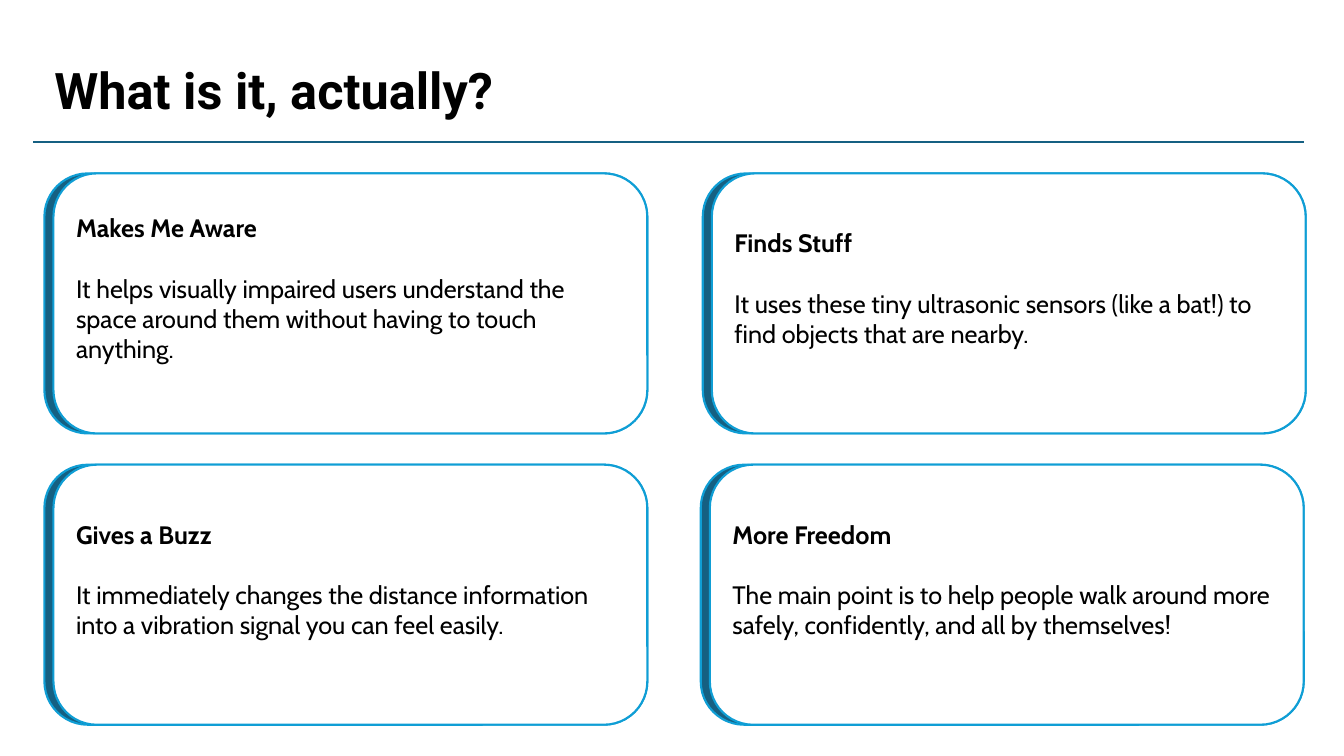
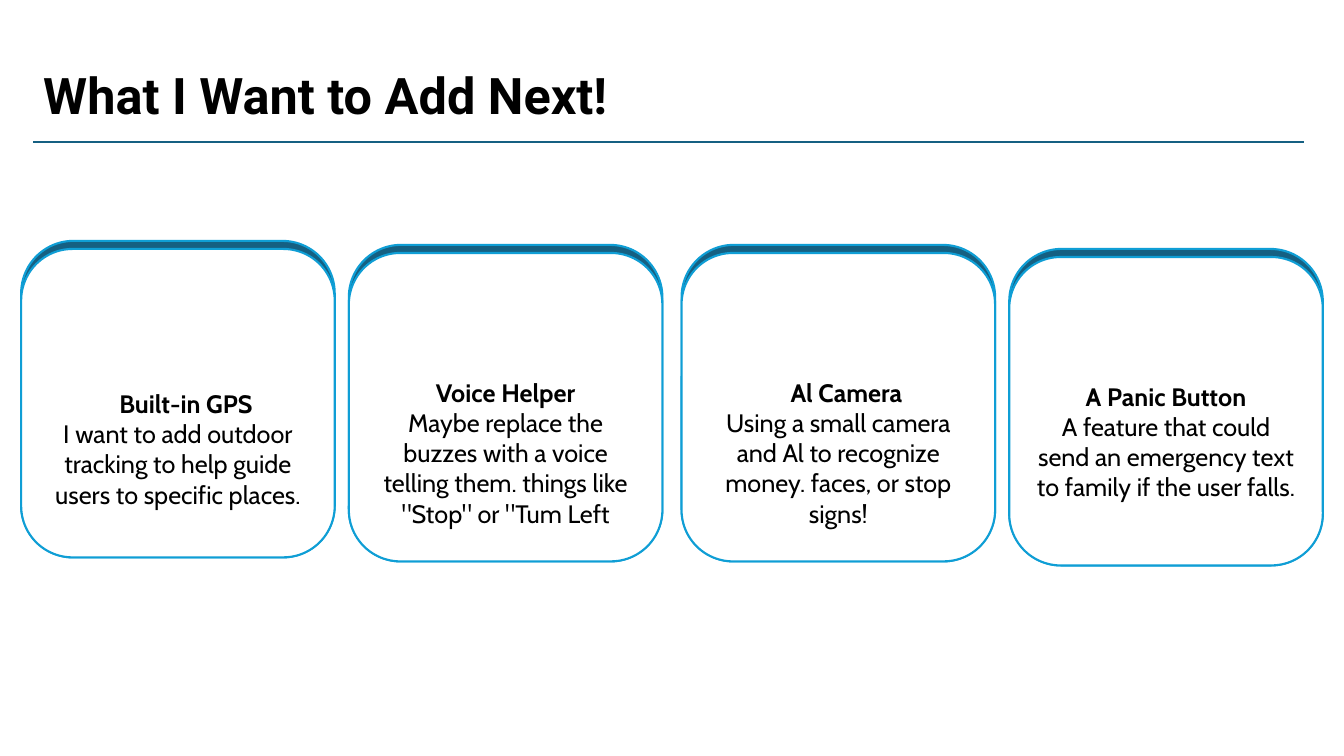
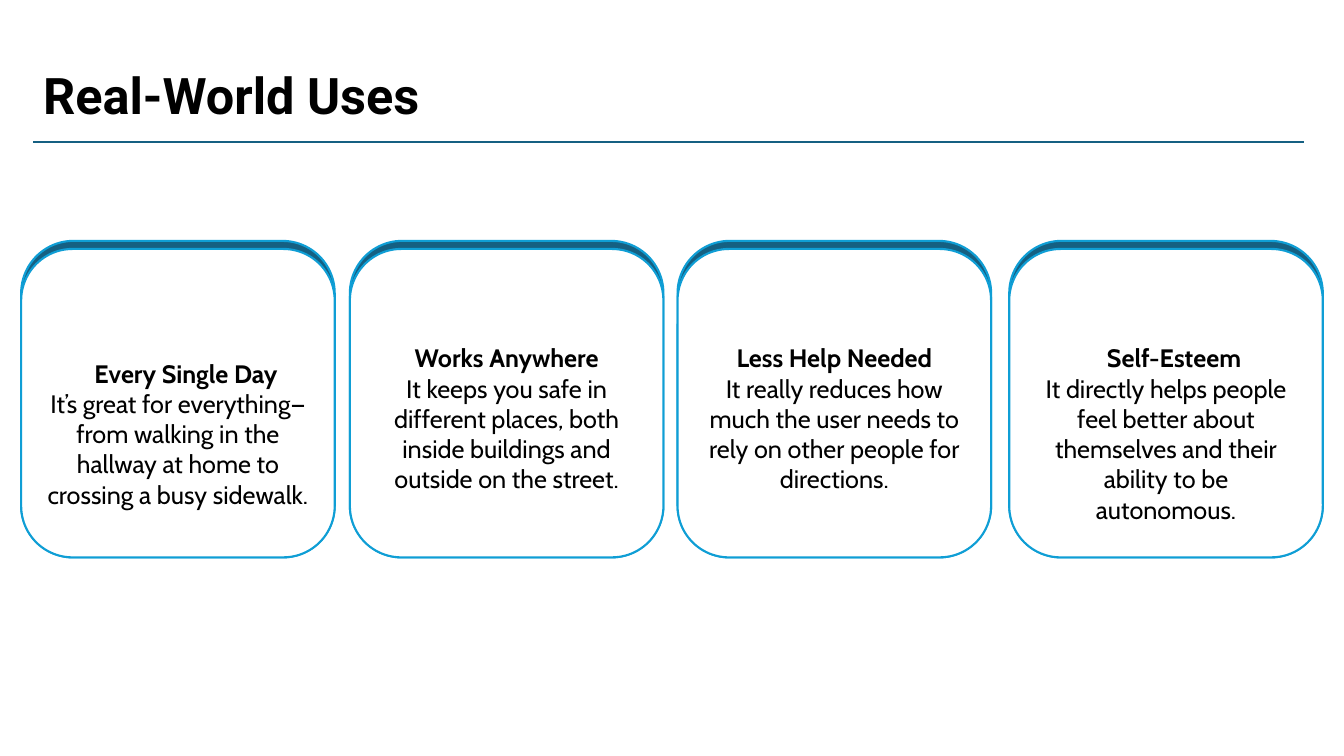
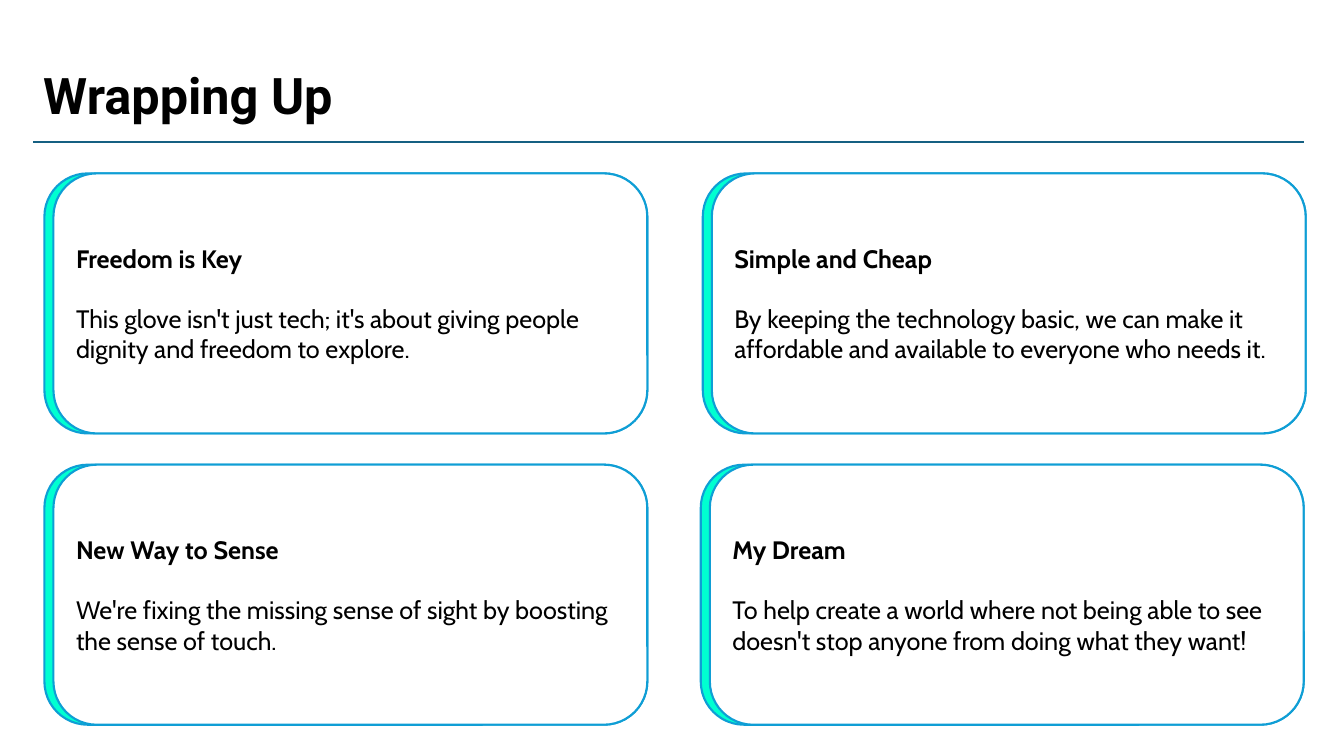
import pptx
import pptx.util
import pptx.dml.color
import pptx.enum.shapes
import pptx.enum.text
from dataclasses import dataclass
from lxml import etree

Inches, Pt = pptx.util.Inches, pptx.util.Pt
RGB = pptx.dml.color.RGBColor.from_string
SHAPE = pptx.enum.shapes.MSO_SHAPE
ALIGN = pptx.enum.text.PP_ALIGN


@dataclass(frozen=True)
class Theme:
    ink: str = "000000"
    paper: str = "FFFFFF"
    navy: str = "156082"
    mint: str = "00FFD1"
    outline: str = "0F9ED5"
    title_font: str = "Roboto"
    body_font: str = "Cabin"
    title_size: int = 36
    body_size: int = 18
    line_width: float = 1.5


@dataclass(frozen=True)
class CardStyle:
    size: tuple
    edge: tuple          # how far the face leaves the accent bare: left, top
    align: object
    body_gap: float      # points between heading and body


THEME = Theme()
TEXT_LINE = 0.3          # height of one line of card text, inches
INSET_X, INSET_Y = 0.1, 0.05
NUDGE = 0.16             # left margin of a heading set slightly off centre

WIDE = CardStyle((5.98, 2.58), (0.09, 0), ALIGN.LEFT, TEXT_LINE * 72)
TALL = CardStyle((3.11, 3.14), (0, 0.08), ALIGN.CENTER, 0)

WIDE_SLOTS = [(0.44, 1.72), (6.97, 1.72), (0.44, 4.61), (6.95, 4.61)]
STAGGERED_SLOTS = [(0.21, 2.39), (3.46, 2.43), (6.76, 2.43), (10.01, 2.47)]
ROW_SLOTS = [(left, 2.39) for left in (0.21, 3.47, 6.72, 10.01)]

# Each card: heading, body, lines the text sits lower (+) or higher (-), heading margin
SLIDES = [
    dict(title="What is it, actually?", title_at=(0.44, 0.54),
         style=WIDE, slots=WIDE_SLOTS, accent=THEME.navy, cards=[
             ("Makes Me Aware", "It helps visually impaired users understand the space around "
              "them without having to touch anything.", -1, 0),
             ("Finds Stuff", "It uses these tiny ultrasonic sensors (like a bat!) to find "
              "objects that are nearby.", -1, 0),
             ("Gives a Buzz", "It immediately changes the distance information into a "
              "vibration signal you can feel easily.", -1, 0),
             ("More Freedom", "The main point is to help people walk around more safely, "
              "confidently, and all by themselves!", -1, 0),
         ]),
    dict(title="What I Want to Add Next!", title_at=(0.33, 0.59),
         style=TALL, slots=STAGGERED_SLOTS, accent=THEME.navy, cards=[
             ("Built-in GPS", "I want to add outdoor tracking to help guide users to "
              "specific places.", 3, NUDGE),
             ("Voice Helper", "Maybe replace the buzzes with a voice telling them. things "
              "like \"Stop\" or \"Tum Left", 3, 0),
             ("Al Camera", "Using a small camera and Al to recognize money. faces, or stop "
              "signs!", 3, NUDGE),
             ("A Panic Button", "A feature that could send an emergency text to family if "
              "the user falls.", 2, 0),
         ]),
    dict(title="Real-World Uses", title_at=(0.33, 0.59),
         style=TALL, slots=ROW_SLOTS, accent=THEME.navy, cards=[
             ("Every Single Day", "It’s great for everything—from walking in the hallway at "
              "home to crossing a busy sidewalk.", 2, NUDGE),
             ("Works Anywhere", "It keeps you safe in different places, both inside "
              "buildings and outside on the street.", 1, 0),
             ("Less Help Needed", "It really reduces how much the user needs to rely on "
              "other people for directions.", 1, 0),
             ("Self-Esteem", "It directly helps people feel better about themselves and "
              "their ability to be autonomous.", 2, NUDGE),
         ]),
    dict(title="Wrapping Up", title_at=(0.33, 0.59),
         style=WIDE, slots=WIDE_SLOTS, accent=THEME.mint, cards=[
             ("Freedom is Key", "This glove isn't just tech; it's about giving people "
              "dignity and freedom to explore.", 0, 0),
             ("Simple and Cheap", "By keeping the technology basic, we can make it "
              "affordable and available to everyone who needs it.", 0, 0),
             ("New Way to Sense", "We're fixing the missing sense of sight by boosting the "
              "sense of touch.", 0, 0),
             ("My Dream", "To help create a world where not being able to see doesn't stop "
              "anyone from doing what they want!", 0, 0),
         ]),
]


def add_run(p, text, font, size, bold):
    r = p.add_run()
    r.text = text
    r.font.name, r.font.size, r.font.bold = font, Pt(size), bold
    r.font.color.rgb = RGB(THEME.ink)


def add_header(s, title, at):
    """Title text with the rule below it."""
    tf = s.shapes.add_textbox(*map(Inches, at), Inches(8.61), Inches(0.71)).text_frame
    tf.word_wrap = True
    add_run(tf.paragraphs[0], title, THEME.title_font, THEME.title_size, True)

    rule = s.shapes.add_connector(pptx.enum.shapes.MSO_CONNECTOR.STRAIGHT,
                                  Inches(0.33), Inches(1.41), Inches(12.93), Inches(1.41))
    rule.line.color.rgb = RGB(THEME.navy)
    rule.line.width = Pt(THEME.line_width)
    etree.SubElement(rule.line._get_or_add_ln().getparent(),
                     pptx.oxml.ns.qn("a:effectLst"))


def add_panel(shapes, box, fill):
    sp = shapes.add_shape(SHAPE.ROUNDED_RECTANGLE, *map(Inches, box))
    sp.shadow.inherit = False
    sp.fill.solid()
    sp.fill.fore_color.rgb = RGB(fill)
    sp.line.color.rgb = RGB(THEME.outline)
    sp.line.width = Pt(THEME.line_width)
    return sp


def add_card(s, style, slot, accent, card):
    """Accent panel under a white face that carries the text."""
    heading, body, shift, heading_margin = card
    (left, top), (width, height), (dx, dy) = slot, style.size, style.edge
    group = s.shapes.add_group_shape()
    add_panel(group.shapes, (left, top, width, height), accent)
    face = add_panel(group.shapes, (left + dx, top + dy, width - dx, height - dy), THEME.paper)

    tf = face.text_frame
    tf.word_wrap = True
    tf.vertical_anchor = pptx.enum.text.MSO_ANCHOR.MIDDLE
    tf.margin_left = tf.margin_right = Inches(INSET_X)
    tf.margin_top = Inches(INSET_Y + max(shift, 0) * TEXT_LINE)
    tf.margin_bottom = Inches(INSET_Y + max(-shift, 0) * TEXT_LINE)

    p = tf.paragraphs[0]
    p.alignment = style.align
    if heading_margin:
        p._p.get_or_add_pPr().set("marL", str(Inches(heading_margin)))
    add_run(p, heading, THEME.body_font, THEME.body_size, True)

    p = tf.add_paragraph()
    p.alignment = style.align
    p.space_before = Pt(style.body_gap)
    add_run(p, body, THEME.body_font, THEME.body_size, False)


def main():
    prs = pptx.Presentation()
    prs.slide_width, prs.slide_height = Inches(13.33), Inches(7.5)
    for page in SLIDES:
        s = prs.slides.add_slide(prs.slide_layouts[6])
        add_header(s, page["title"], page["title_at"])
        for slot, card in zip(page["slots"], page["cards"]):
            add_card(s, page["style"], slot, page["accent"], card)
    prs.save("out.pptx")


if __name__ == "__main__":
    main()
